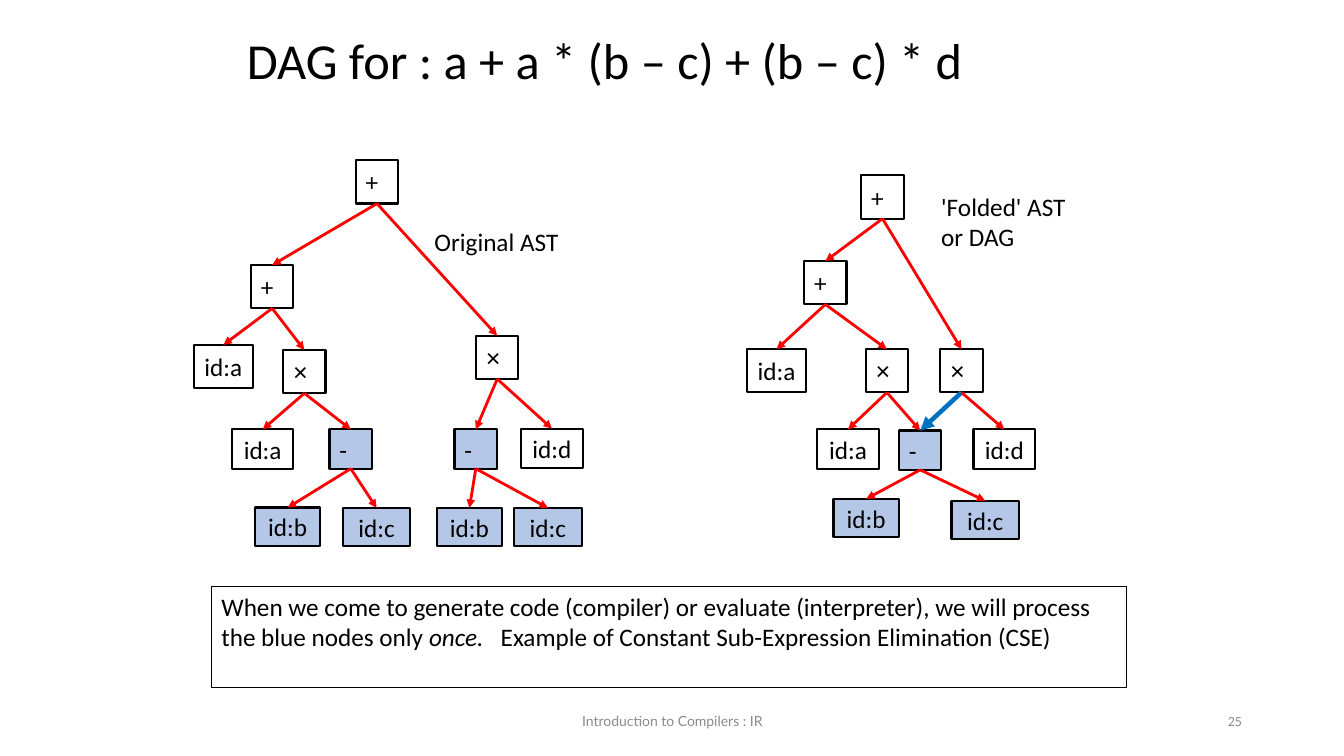
from pptx import Presentation
from pptx.dml.color import RGBColor
from pptx.enum.shapes import MSO_CONNECTOR, MSO_SHAPE
from pptx.enum.text import MSO_ANCHOR, PP_ALIGN
from pptx.oxml.ns import qn
from pptx.oxml.xmlchemy import OxmlElement
from pptx.util import Cm, Pt

BLACK = RGBColor(0x00, 0x00, 0x00)
WHITE = RGBColor(0xFF, 0xFF, 0xFF)
GREY = RGBColor(0x8B, 0x8B, 0x8B)
RED = RGBColor(0xFF, 0x00, 0x00)
BLUE = RGBColor(0x00, 0x70, 0xC0)
PALE_BLUE = RGBColor(0xB4, 0xC7, 0xE7)

TOP, BOTTOM = 0, 2
OPERATOR = (1.07, 1.09)
MINUS = (1.07, 0.99)
HIGH_LEAF = (1.5, 1.09)
LEAF = (1.55, 0.99)
LEAF_B = (1.65, 0.97)
LEAF_C = (1.7, 0.97)

AST_NODES = {
    "root": ("+", OPERATOR, 4.62, 0),
    "sum": ("+", OPERATOR, 1.98, 2.64),
    "a1": ("id:a", HIGH_LEAF, 0.75, 4.65),
    "left product": ("×", OPERATOR, 2.79, 4.78),
    "right product": ("×", OPERATOR, 7.65, 4.42),
    "a2": ("id:a", LEAF, 1.74, 6.78),
    "left minus": ("-", MINUS, 3.96, 6.78),
    "right minus": ("-", MINUS, 7.11, 6.78),
    "d": ("id:d", LEAF, 9.03, 6.76),
    "b1": ("id:b", LEAF_B, 2.37, 8.75),
    "c1": ("id:c", LEAF_C, 4.61, 8.76),
    "b2": ("id:b", LEAF_B, 6.95, 8.76),
    "c2": ("id:c", LEAF_C, 8.93, 8.76),
}
AST_CHILDREN = {
    "root": ("sum", "right product"),
    "sum": ("a1", "left product"),
    "left product": ("a2", "left minus"),
    "right product": ("right minus", "d"),
    "left minus": ("b1", "c1"),
    "right minus": ("b2", "c2"),
}
DAG_NODES = {
    "root": ("+", OPERATOR, 3.42, 0),
    "sum": ("+", OPERATOR, 1.98, 2.16),
    "a1": ("id:a", HIGH_LEAF, 0.75, 4.38),
    "left product": ("×", OPERATOR, 3.53, 4.38),
    "right product": ("×", OPERATOR, 5.41, 4.38),
    "a2": ("id:a", LEAF, 2.55, 6.4),
    "minus": ("-", MINUS, 4.37, 6.43),
    "d": ("id:d", LEAF, 6.49, 6.4),
    "b": ("id:b", LEAF_B, 3.01, 8.15),
    "c": ("id:c", LEAF_C, 6.01, 8.2),
}
DAG_CHILDREN = {
    "root": ("sum", "right product"),
    "sum": ("a1", "left product"),
    "left product": ("a2", "minus"),
    "right product": ("minus", "d"),
    "minus": ("b", "c"),
}


def add_text(s, box, text, size=18, font="Calibri", color=BLACK,
             align=PP_ALIGN.LEFT, anchor=MSO_ANCHOR.MIDDLE):
    """Add a wrapped one-paragraph text box and return its paragraph."""
    tf = s.shapes.add_textbox(*map(Cm, box)).text_frame
    tf.word_wrap = True
    tf.vertical_anchor = anchor
    p = tf.paragraphs[0]
    p.text = text
    p.alignment = align
    p.font.size, p.font.name = Pt(size), font
    p.font.color.rgb = color
    return p


def add_box(s, box, fill, line_width):
    """Add a black-outlined rectangle without shadow."""
    sp = s.shapes.add_shape(MSO_SHAPE.RECTANGLE, *map(Cm, box))
    sp.shadow.inherit = False
    sp.fill.solid()
    sp.fill.fore_color.rgb = fill
    sp.line.color.rgb = BLACK
    sp.line.width = Pt(line_width)
    return sp


def add_node(s, label, size, center, top):
    """Add a tree node centred on the given x."""
    width, height = size
    fill = PALE_BLUE if label in ("-", "id:b", "id:c") else WHITE
    sp = add_box(s, (center - width / 2, top, width, height), fill, 1.5)
    is_leaf = label.startswith("id")
    tf = sp.text_frame
    tf.margin_left = Cm(0 if is_leaf else 0.25)
    tf.margin_right = tf.margin_top = tf.margin_bottom = 0
    tf.vertical_anchor = MSO_ANCHOR.MIDDLE
    p = tf.paragraphs[0]
    p.text = label
    p.alignment = PP_ALIGN.CENTER if is_leaf else PP_ALIGN.LEFT
    p.font.size = Pt(18)
    p.font.name = "Arial" if label == "×" else "Calibri"
    p.font.color.rgb = BLACK
    return sp


def add_arrow(s, parent, child, color, width):
    """Connect the bottom of a parent to the top of a child."""
    cxn = s.shapes.add_connector(MSO_CONNECTOR.STRAIGHT, 0, 0, 0, 0)
    cxn.begin_connect(parent, BOTTOM)
    cxn.end_connect(child, TOP)
    cxn.line.color.rgb = color
    cxn.line.width = Pt(width)
    sp_pr = cxn._element.spPr
    tail = OxmlElement("a:tailEnd")
    tail.set("type", "triangle")
    sp_pr.find(qn("a:ln")).append(tail)
    sp_pr.append(OxmlElement("a:effectLst"))


def add_tree(s, left, top, nodes, children, caption, caption_box, shared=None):
    """Draw a captioned tree, with the shared edge in thick blue."""
    shapes = {name: add_node(s, label, size, left + x, top + y)
              for name, (label, size, x, y) in nodes.items()}
    for parent, names in children.items():
        for child in names:
            color, width = (BLUE, 3.25) if (parent, child) == shared else (RED, 2)
            add_arrow(s, shapes[parent], shapes[child], color, width)
    x, y, width, height = caption_box
    add_text(s, (left + x, top + y, width, height), caption, anchor=MSO_ANCHOR.TOP)


def add_remark(s, box):
    """Add the framed remark on the blue nodes."""
    tf = add_box(s, box, WHITE, 0.75).text_frame
    tf.word_wrap = True
    tf.vertical_anchor = MSO_ANCHOR.TOP
    p = tf.paragraphs[0]
    p.alignment = PP_ALIGN.LEFT
    p.font.size, p.font.name = Pt(18), "Calibri"
    p.font.color.rgb = BLACK
    p.add_run().text = ("When we come to generate code (compiler) or evaluate "
                        "(interpreter), we will process the blue nodes only ")
    r = p.add_run()
    r.text = "once.   "
    r.font.italic = True
    p.add_run().text = "Example of Constant Sub-Expression Elimination (CSE)"


def add_footer(s, left, top):
    """Add the course name and the page number."""
    add_text(s, (left, top, 11.43, 1.02), "Introduction to Compilers : IR",
             10, "Lato", GREY, PP_ALIGN.CENTER)
    add_text(s, (left + 12.7, top, 7.62, 1.02), "25", 10, color=GREY,
             align=PP_ALIGN.RIGHT)


def build_slide(prs):
    """Build the slide comparing the AST with its DAG."""
    s = prs.slides.add_slide(prs.slide_layouts[6])
    title = add_text(s, (5.97, 1.02, 21.89, 1.14),
                     "DAG for : a + a * (b – c) + (b – c) * d", 36)
    title.line_spacing = 0.9
    add_tree(s, 4.88, 4.04, AST_NODES, AST_CHILDREN,
             "Original AST", (5.82, 1.55, 4.14, 1.78))
    add_tree(s, 18.82, 4.42, DAG_NODES, DAG_CHILDREN,
             "'Folded' AST or DAG", (4.65, 0.28, 4.14, 2.54),
             ("right product", "minus"))
    add_remark(s, (5.33, 14.78, 23.06, 2.54))
    add_footer(s, 11.23, 17.65)


prs = Presentation()
prs.slide_width, prs.slide_height = Cm(33.87), Cm(19.05)
build_slide(prs)
prs.save("out.pptx")
